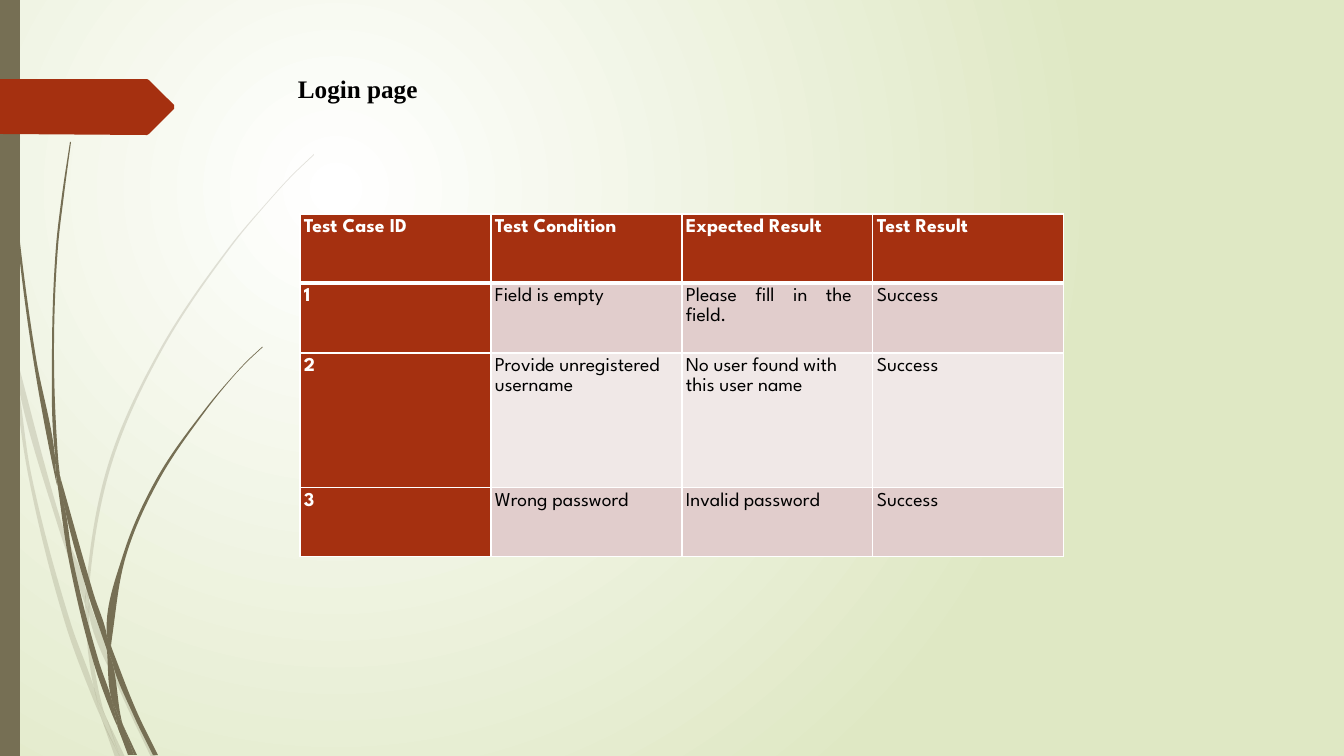
"""Builds the login page test case slide."""
from dataclasses import dataclass
from math import hypot

from lxml.etree import SubElement
from pptx import Presentation
from pptx.dml.color import RGBColor
from pptx.enum.shapes import MSO_SHAPE
from pptx.enum.text import PP_ALIGN
from pptx.oxml.ns import qn
from pptx.util import Pt


@dataclass(frozen=True)
class Theme:
    """Colours, fonts and type sizes."""
    red: str = "A53010"
    olive: str = "766F54"
    white: str = "FFFFFF"
    black: str = "000000"
    green: str = "DFE8C4"
    bands: tuple = ("E1CDCC", "F0E8E7")
    head_font: str = "Times New Roman"
    cell_font: str = "League Spartan"
    head_size: int = 18
    cell_size: int = 14


THEME = Theme()
SCALE = 914400 / 100.8
PALE = [
    [(11, 353), (9, 325), (0, 284), (0, 301), (10, 347)],
    [(58, 526), (85, 604), (86, 591), (62, 524), (14, 348), (17, 379)],
    [(93, 612), (89, 601), (89, 615), (124, 700), (151, 757), (156, 757),
     (128, 698)],
    [(120, 757), (125, 757), (106, 717)],
    [(94, 688), (71, 624), (31, 473), (17, 379), (11, 353), (28, 474),
     (66, 626), (93, 699), (102, 720), (100, 713)],
    [(85, 604), (88, 651), (94, 688), (97, 698), (106, 717), (104, 712),
     (92, 651), (89, 615), (89, 613)],
    [(89, 589), (111, 466), (161, 352), (231, 247), (270, 200), (292, 176),
     (314, 155), (314, 154), (291, 176), (270, 199), (230, 246), (159, 351),
     (108, 465), (86, 589), (86, 591), (89, 601)],
    [(102, 720), (115, 757), (120, 757)],
    [(89, 613), (89, 615), (89, 601), (86, 591), (85, 604)],
    [(97, 698), (94, 688), (100, 713), (102, 720), (120, 757), (106, 717)]]
DARK = [
    [(7, 111), (17, 235), (33, 358), (56, 481), (57, 485), (55, 461),
     (55, 457), (36, 358), (19, 234), (8, 110), (5, 48), (4, 0), (3, 0),
     (4, 48)],
    [(89, 597), (107, 650), (107, 638), (107, 636), (94, 595), (60, 476),
     (65, 509)],
    [(114, 654), (111, 646), (112, 661), (133, 714), (153, 755), (158, 755),
     (137, 712)],
    [(111, 697), (99, 662), (73, 560), (65, 509), (57, 481), (69, 561),
     (94, 664), (112, 714), (118, 728), (117, 723)],
    [(60, 476), (58, 457), (54, 352), (58, 247), (64, 195), (71, 142),
     (70, 142), (62, 195), (56, 247), (52, 352), (55, 453)],
    [(134, 755), (137, 755), (123, 725)],
    [(57, 481), (65, 509), (60, 476), (55, 453), (55, 457)],
    [(112, 638), (126, 556), (159, 480), (207, 409), (233, 377), (247, 362),
     (263, 347), (262, 347), (247, 361), (233, 376), (206, 408), (157, 478),
     (123, 555), (107, 636), (111, 646)],
    [(118, 728), (128, 755), (132, 755)],
    [(107, 650), (111, 697), (117, 712), (123, 725), (122, 722), (112, 661),
     (110, 656)],
    [(107, 650), (110, 656), (112, 661), (111, 646), (107, 636), (107, 638)],
    [(117, 712), (111, 697), (117, 723), (118, 728), (131, 755), (134, 755),
     (123, 725)]]
ARROW = [(174, 109), (149, 134), (147, 135), (0, 134), (0, 79), (147, 79),
         (149, 80), (174, 105)]
ROWS = [("Test Case ID", "Test Condition", "Expected Result", "Test Result"),
        ("1", "Field is empty", "Please fill in the field.", "Success"),
        ("2", "Provide unregistered username",
         "No user found with this user name", "Success"),
        ("3", "Wrong password", "Invalid password", "Success")]
HEIGHTS = (69, 70, 135, 69)


def px(size):
    """Turn px into EMU."""
    return round(size * SCALE)


def tint(fill, color):
    """Make a fill solid in one colour."""
    fill.solid()
    fill.fore_color.rgb = RGBColor.from_string(color)


def plain(shape, color):
    """Give a shape a flat fill without line or shadow."""
    shape.shadow.inherit = False
    shape.line.fill.background()
    tint(shape.fill, color)


def style(para, font, size, color, bold):
    """Format the runs of a paragraph."""
    for run in para.runs:
        run.font.name = font
        run.font.size = Pt(size)
        run.font.bold = bold
        run.font.color.rgb = RGBColor.from_string(color)


def bend(shape):
    """Turn the straight sides of an outline into curves, keeping corners."""
    lines = list(shape._element.iter(qn("a:lnTo")))
    ring = [(int(n[0].get("x")), int(n[0].get("y"))) for n in lines]
    sides = []
    for (x1, y1), (x2, y2) in zip(ring[-1:] + ring, ring):
        size = hypot(x2 - x1, y2 - y1)
        sides.append(((x2 - x1) / size, (y2 - y1) / size, size))
    joints = []
    for (a, b, _), (c, d, _) in zip(sides, sides[1:] + sides[:1]):
        size = hypot(a + c, b + d)
        soft = a * c + b * d > 0.8
        mean = ((a + c) / size, (b + d) / size) if soft else None
        joints.append(mean)
    for i, line in enumerate(lines):
        dx, dy, size = sides[i]
        start, end = joints[i - 1] or (dx, dy), joints[i] or (dx, dy)
        (x1, y1), (x2, y2) = ring[i - 1], ring[i]
        third = size / 3
        line.tag = qn("a:cubicBezTo")
        spots = [(x1 + start[0] * third, y1 + start[1] * third),
                 (x2 - end[0] * third, y2 - end[1] * third)]
        for at, (x, y) in enumerate(spots):
            spot = SubElement(line, qn("a:pt"), x=str(round(x)),
                              y=str(round(y)))
            line.insert(at, spot)


def add_form(shapes, points, color):
    """Draw a closed outline."""
    first, *rest = [(px(x), px(y)) for x, y in points]
    form = shapes.build_freeform(*first)
    form.add_line_segments(rest + [first], close=True)
    shape = form.convert_to_shape()
    plain(shape, color)
    return shape


def add_grass(slide, parts, alpha):
    """Draw a group of grass parts."""
    group = slide.shapes.add_group_shape()
    for points in parts:
        shape = add_form(group.shapes, points, THEME.olive)
        bend(shape)
        if alpha < 100:
            color = shape.fill._xPr.find(qn("a:solidFill"))[0]
            SubElement(color, qn("a:alpha"), val=str(alpha * 1000))


def add_bar(slide, x, y, w, h):
    """Draw the side bar."""
    bar = slide.shapes.add_shape(MSO_SHAPE.RECTANGLE,
                                 px(x), px(y), px(w), px(h))
    plain(bar, THEME.olive)


def add_title(slide, text, x, y, w, h):
    """Add the slide heading."""
    frame = slide.shapes.add_textbox(px(x), px(y), px(w), px(h)).text_frame
    frame.word_wrap = True
    frame.text = text
    style(frame.paragraphs[0], THEME.head_font, THEME.head_size,
          THEME.black, True)


def set_edge(cell, index, name, width):
    """Set one white border of a cell."""
    props = cell._tc.get_or_add_tcPr()
    line = SubElement(props, qn("a:" + name), w=str(Pt(width)))
    fill = SubElement(line, qn("a:solidFill"))
    SubElement(fill, qn("a:srgbClr"), val=THEME.white)
    props.insert(index, line)


def fill_cell(cell, text, row, col):
    """Write and format one table cell."""
    head = row == 0 or col == 0
    spread = (row, col) == (1, 2)
    cell.margin_left = cell.margin_top = px(4)
    cell.margin_right = px(21 if spread else 4)
    cell.margin_bottom = 0
    cell.text_frame.text = text
    para = cell.text_frame.paragraphs[0]
    para.line_spacing = 1.07
    para.space_after = Pt(15.7)
    if spread:
        para.alignment = PP_ALIGN.JUSTIFY
    style(para, THEME.cell_font, THEME.cell_size,
          THEME.white if head else THEME.black, head)
    tint(cell.fill, THEME.red if head else THEME.bands[(row - 1) % 2])
    widths = (1, 1, 3 if row == 1 else 1, 3 if row == 0 else 1)
    for index, name in enumerate(("lnL", "lnR", "lnT", "lnB")):
        set_edge(cell, index, name, widths[index])


def add_grid(slide, x, y, width):
    """Add the table of test cases."""
    count = len(ROWS[0])
    grid = slide.shapes.add_table(len(ROWS), count, px(x), px(y),
                                  px(width * count), px(sum(HEIGHTS))).table
    for col in grid.columns:
        col.width = px(width)
    for row, texts in enumerate(ROWS):
        grid.rows[row].height = px(HEIGHTS[row])
        for col, text in enumerate(texts):
            fill_cell(grid.cell(row, col), text, row, col)


def set_glow(slide):
    """Give the slide a round white to green gradient."""
    fill = slide.background.fill
    fill.gradient()
    for stop, color in zip(fill.gradient_stops, (THEME.white, THEME.green)):
        stop.color.rgb = RGBColor.from_string(color)
    grad = next(slide.element.iter(qn("a:gradFill")))
    grad.remove(grad.find(qn("a:lin")))
    ring = SubElement(grad, qn("a:path"), path="circle")
    SubElement(ring, qn("a:fillToRect"), l="50000", t="50000",
               r="100000", b="100000")


def main():
    """Build and save the slide."""
    deck = Presentation()
    deck.slide_width, deck.slide_height = px(1344), px(756)
    slide = deck.slides.add_slide(deck.slide_layouts[6])
    set_glow(slide)
    add_grass(slide, PALE, 20)
    add_grass(slide, DARK, 100)
    add_bar(slide, 0, 0, 20, 756)
    add_form(slide.shapes, ARROW, THEME.red)
    add_grid(slide, 300, 214, 191)
    add_title(slide, "Login page", 288, 68, 672, 40)
    deck.save("out.pptx")


if __name__ == "__main__":
    main()
